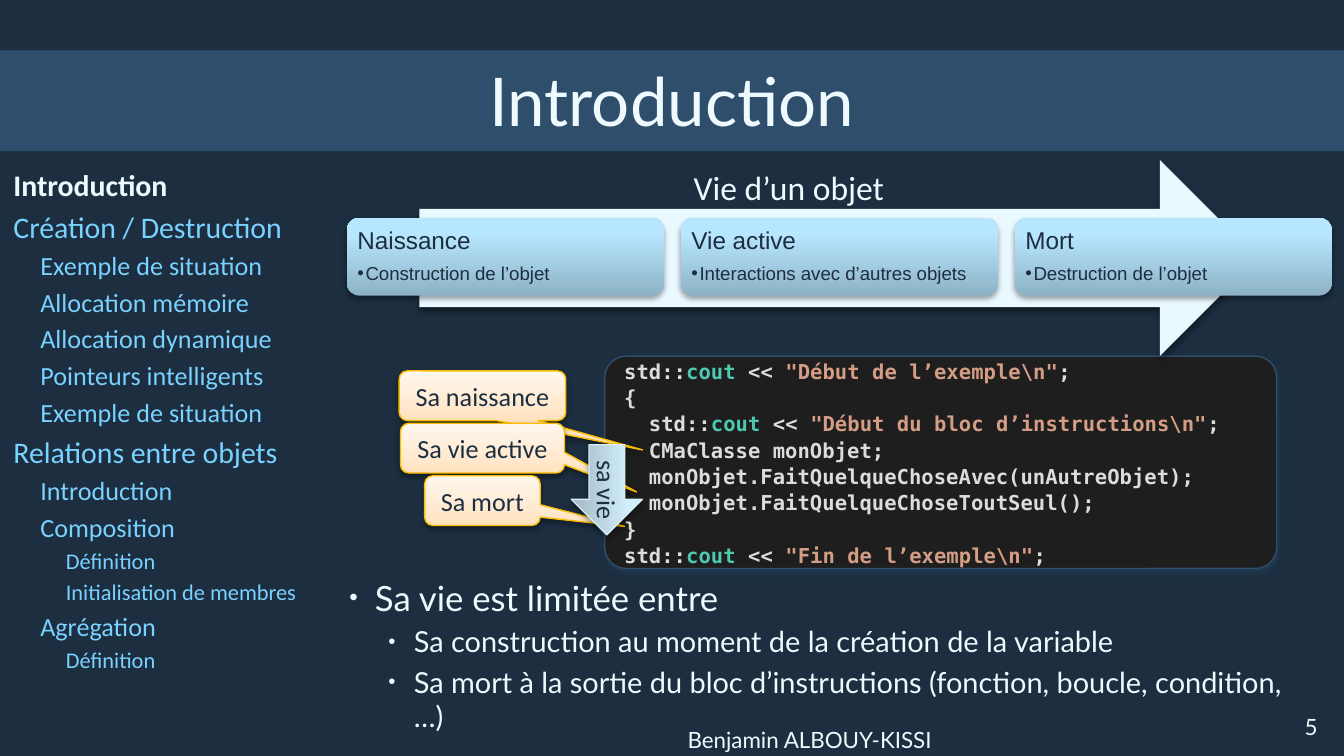
from dataclasses import dataclass

from lxml import etree
from pptx import Presentation
from pptx.dml.color import RGBColor
from pptx.enum.shapes import MSO_SHAPE
from pptx.enum.text import MSO_ANCHOR, MSO_AUTO_SIZE, PP_ALIGN
from pptx.oxml.ns import qn
from pptx.util import Inches, Pt

RECT, ROUNDED = MSO_SHAPE.RECTANGLE, MSO_SHAPE.ROUNDED_RECTANGLE
ARROW, CALLOUT = MSO_SHAPE.RIGHT_ARROW, MSO_SHAPE.ROUNDED_RECTANGULAR_CALLOUT
LEFT, CENTER = PP_ALIGN.LEFT, PP_ALIGN.CENTER
TOP, MIDDLE = MSO_ANCHOR.TOP, MSO_ANCHOR.MIDDLE
FIXED, GROW = MSO_AUTO_SIZE.NONE, MSO_AUTO_SIZE.SHAPE_TO_FIT_TEXT

NAVY, STEEL, PALE, SKY = "1C2E40", "2F4E6C", "EFFAFF", "79D2FF"
PLAIN, STREAM, LITERAL = "DCDCDC", "4EC9B0", "D69D85"
PEACH = [(0, "FFE2BD"), (35, "FFEAD1"), (100, "FFF7EE")]
BLUE = [(0, "8DB2C5"), (80, "B7E7FF"), (100, "B9E8FF")]
GREY_BLUE = [(0, "A1B7C2"), (80, "D1EEFC"), (100, "D1F0FE")]
FIRST_STAGE, LAST_STAGE = 2.58, 7.55


@dataclass
class Shadow:
    color: str = "000000"
    opacity: int = 35
    distance: float = 1.8


@dataclass
class Stage:
    name: str
    detail: str


@dataclass
class Note:
    label: str
    width: float
    pointer: tuple[float, float]


@dataclass
class Entry:
    label: str
    level: int = 0
    current: bool = False


STAGES = [
    Stage("Naissance", "Construction de l’objet"),
    Stage("Vie active", "Interactions avec d’autres objets"),
    Stage("Mort", "Destruction de l’objet"),
]
NOTES = [
    Note("Sa naissance", 1.24, (0.96, 1.09)),
    Note("Sa vie active", 1.22, (0.94, 0.88)),
    Note("Sa mort", 0.86, (1.23, 0.52)),
]
OUTLINE = [
    Entry("Introduction", current=True),
    Entry("Création / Destruction"),
    Entry("Exemple de situation", 1),
    Entry("Allocation mémoire", 1),
    Entry("Allocation dynamique", 1),
    Entry("Pointeurs intelligents", 1),
    Entry("Exemple de situation", 1),
    Entry("Relations entre objets"),
    Entry("Introduction", 1),
    Entry("Composition", 1),
    Entry("Définition", 2),
    Entry("Initialisation de membres", 2),
    Entry("Agrégation", 1),
    Entry("Définition", 2),
]
LIFETIME = [
    Entry("Sa vie est limitée entre"),
    Entry("Sa construction au moment de la création de la variable", 1),
    Entry("Sa mort à la sortie du bloc d’instructions (fonction, boucle, condition, …)", 1),
]


def rgb(value: str) -> RGBColor:
    return RGBColor.from_string(value)


def cout_line(literal: str, indent: str = "") -> list[tuple[str, str]]:
    return [(indent + "std::", PLAIN), ("cout", STREAM), (" << ", PLAIN),
            (f'"{literal}"', LITERAL), (";", PLAIN)]


CODE = [
    cout_line("Début de l’exemple\\n"),
    "{",
    cout_line("Début du bloc d’instructions\\n", "  "),
    "  CMaClasse monObjet;",
    "  monObjet.FaitQuelqueChoseAvec(unAutreObjet);",
    "  monObjet.FaitQuelqueChoseToutSeul();",
    "}",
    cout_line("Fin de l’exemple\\n"),
]


def write(frame, text, *, size, font="Calibri", color=NAVY, bold=False, align=LEFT, level=0,
          indent=(0, 0), bullet=None, bullet_size=100, before=0, after=0, line=1.0) -> None:
    """Add a paragraph; text is a string or a list of (text, colour) pairs."""
    first = frame.paragraphs[0]
    is_first = not first.runs
    paragraph = first if is_first else frame.add_paragraph()
    paragraph.alignment, paragraph.level = align, level
    props = paragraph._p.get_or_add_pPr()
    props.set("marL", str(Inches(indent[0])))
    props.set("indent", str(Inches(indent[1])))
    if bullet:
        etree.SubElement(props, qn("a:buSzPct"), val=str(bullet_size * 1000))
        etree.SubElement(props, qn("a:buFont"), typeface="Arial")
        etree.SubElement(props, qn("a:buChar"), char=bullet)
    else:
        etree.SubElement(props, qn("a:buNone"))
    paragraph.space_before = Pt(0 if is_first else before)
    paragraph.space_after = Pt(after)
    paragraph.line_spacing = line
    for part, part_color in [(text, color)] if isinstance(text, str) else text:
        run = paragraph.add_run()
        run.text = part
        run.font.name, run.font.size, run.font.bold = font, Pt(size), bold
        run.font.color.rgb = rgb(part_color)


def set_frame(frame, anchor=TOP, wrap=True, fit=FIXED, inset=None):
    frame.auto_size, frame.word_wrap, frame.vertical_anchor = fit, wrap, anchor
    if inset is not None:
        frame.margin_left = frame.margin_right = Inches(inset)
        frame.margin_top = frame.margin_bottom = Inches(inset)
    return frame


def add_box(slide, left: float, top: float, width: float, height: float, **frame_format):
    box = slide.shapes.add_textbox(Inches(left), Inches(top), Inches(width), Inches(height))
    set_frame(box.text_frame, **frame_format)
    return box


def add_shape(slide, kind, left: float, top: float, width: float, height: float,
              fill: str | list, line: str | None = None, shadow: Shadow | None = None):
    shape = slide.shapes.add_shape(kind, Inches(left), Inches(top), Inches(width), Inches(height))
    if isinstance(fill, str):
        shape.fill.solid()
        shape.fill.fore_color.rgb = rgb(fill)
    else:
        shape.fill.gradient()
        shape.fill.gradient_angle = 90
        stops = shape._element.spPr.find(".//" + qn("a:gsLst"))
        stops.clear()
        for position, color in fill:
            stop = etree.SubElement(stops, qn("a:gs"), pos=str(position * 1000))
            etree.SubElement(stop, qn("a:srgbClr"), val=color)
    if line:
        shape.line.color.rgb = rgb(line)
        shape.line.width = Pt(0.75)
    else:
        shape.line.fill.background()
    shape.shadow.inherit = False
    if shadow:
        effects = shape._element.spPr.find(qn("a:effectLst"))
        outer = etree.SubElement(effects, qn("a:outerShdw"), blurRad=str(Pt(3.1)),
                                 dist=str(Pt(shadow.distance)), dir="5400000", rotWithShape="0")
        color = etree.SubElement(outer, qn("a:srgbClr"), val=shadow.color)
        etree.SubElement(color, qn("a:alpha"), val=str(shadow.opacity * 1000))
    return shape


def use_placeholder(holder, left: float, top: float, width: float, height: float, anchor=TOP):
    holder.left, holder.top = Inches(left), Inches(top)
    holder.width, holder.height = Inches(width), Inches(height)
    return set_frame(holder.text_frame, anchor)


def draw_stage(slide, stage: Stage, left: float) -> None:
    add_shape(slide, ROUNDED, left, 1.62, 2.36, 0.58, BLUE, shadow=Shadow())
    frame = add_box(slide, left + 0.03, 1.65, 2.31, 0.53, inset=0.05).text_frame
    write(frame, stage.name, size=13, font="Arial", line=0.9, after=5)
    write(frame, stage.detail, size=10, font="Arial", line=0.9, level=1,
          indent=(0.06, -0.06), bullet="•")


def draw_note(slide, note: Note, top: float) -> None:
    callout = add_shape(slide, CALLOUT, 3.59 - note.width / 2, top, note.width, 0.37, PEACH,
                        "F9BC00", Shadow(opacity=38, distance=1.6))
    callout.adjustments[0], callout.adjustments[1] = note.pointer
    frame = set_frame(callout.text_frame, MIDDLE, wrap=False, fit=GROW)
    write(frame, note.label, size=14, align=CENTER)


def main() -> None:
    deck = Presentation()
    deck.slide_width = Inches(10)
    deck.slide_height = deck.slide_width * 9 // 16
    slide = deck.slides.add_slide(deck.slide_layouts[3])
    slide.background.fill.solid()
    slide.background.fill.fore_color.rgb = rgb(NAVY)

    band = add_shape(slide, RECT, 0, 0.375, 10, 0.75, STEEL)
    slide.shapes._spTree.insert(2, band._element)
    title = use_placeholder(slide.shapes.title, 0.17, 0.37, 9.66, 0.75, MIDDLE)
    write(title, "Introduction", size=36, font="Lato", color=PALE, align=CENTER)

    lifetime = use_placeholder(slide.placeholders[1], 2.5, 4.24, 7.33, 1.14)
    for entry in LIFETIME:
        write(lifetime, entry.label, size=(18.6, 15.5)[entry.level], font="Lato", color=PALE,
              level=entry.level, indent=((0.19, 0.48)[entry.level], -0.19), bullet="•",
              bullet_size=70, before=3)
    outline = use_placeholder(slide.placeholders[2], 0, 1.19, 2.5, 4.19)
    for entry in OUTLINE:
        size = 16 - 2 * entry.level
        write(outline, entry.label, size=size, bold=entry.current,
              color=PALE if entry.current else SKY, level=entry.level,
              indent=((0, 0.2, 0.39)[entry.level], 0), before=0.2 * size)

    author = add_box(slide, 2.5, 5.38, 7.05, 0.25, anchor=MIDDLE, inset=0)
    write(author.text_frame, "Benjamin ALBOUY-KISSI", size=12, font="Lato", color=PALE, align=CENTER)
    number = add_box(slide, 9.55, 5.26, 0.41, 0.3, anchor=MIDDLE, inset=0)
    write(number.text_frame, "5", size=12, font="Lato", color=PALE, align=CENTER)

    listing = add_shape(slide, ROUNDED, 4.5, 2.65, 5, 1.58, "1E1E1E", STEEL, Shadow(STEEL, 38, 1.6))
    listing.adjustments[0] = 0.1
    code = set_frame(listing.text_frame, MIDDLE, wrap=False)
    for row, code_line in enumerate(CODE, 1):
        write(code, code_line, size=11, font="DejaVu Sans Mono", color=PLAIN, bold=True,
              line=1.07, after=8 if row == len(CODE) else 0)

    for row, note in enumerate(NOTES):
        draw_note(slide, note, 2.76 + 0.39 * row)
    life_arrow = add_shape(slide, ARROW, 4.18, 3.38, 0.67, 0.53, GREY_BLUE, "D7EFFA", Shadow())
    life_label = add_box(slide, 4.19, 3.48, 0.65, 0.34, wrap=False, fit=GROW)
    write(life_label.text_frame, "sa vie", size=14)
    life_arrow.rotation = life_label.rotation = 90

    add_shape(slide, ARROW, 3.12, 1.19, 6.24, 1.46, "EAF8FF", shadow=Shadow())
    stage_pitch = (LAST_STAGE - FIRST_STAGE) / (len(STAGES) - 1)
    for column, stage in enumerate(STAGES):
        draw_stage(slide, stage, FIRST_STAGE + stage_pitch * column)
    heading = add_box(slide, 3.08, 1.19, 5.58, 0.4, fit=GROW)
    write(heading.text_frame, "Vie d’un objet", size=18, color=PALE, align=CENTER)

    deck.save("out.pptx")


if __name__ == "__main__":
    main()
